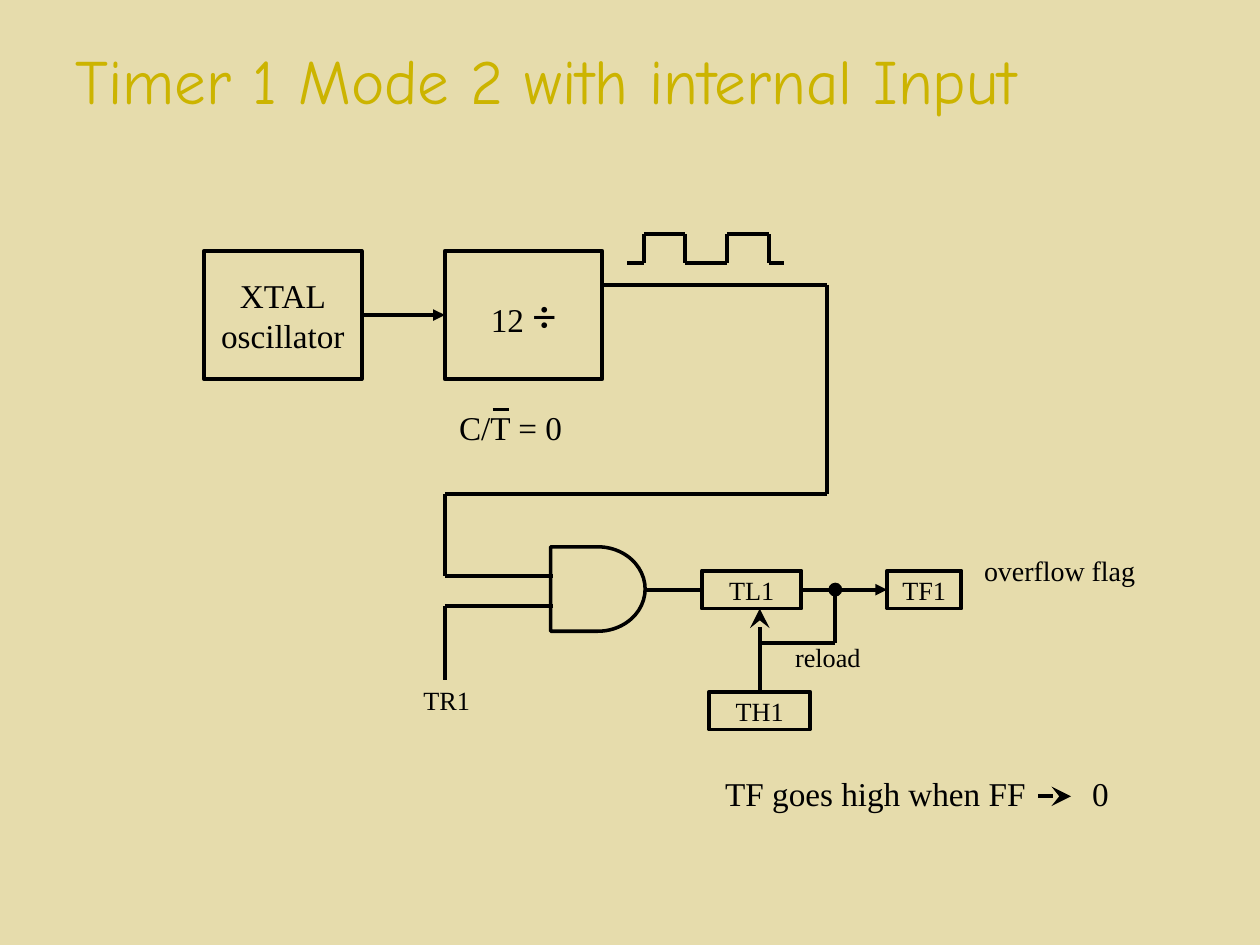
from dataclasses import dataclass
from itertools import pairwise
from typing import Optional

from lxml.etree import SubElement
from pptx import Presentation
from pptx.dml.color import RGBColor
from pptx.enum.shapes import MSO_CONNECTOR, MSO_SHAPE
from pptx.enum.text import MSO_ANCHOR, PP_ALIGN
from pptx.oxml.ns import qn
from pptx.util import Inches, Pt

COLORS = {"background": "E6DCAC", "title": "CCB400", "ink": "000000"}
BODY_FONT = "Times New Roman"
TITLE_FONT = "Comic Neue"
LINE_WIDTH = 2.25
Point = tuple[float, float]


@dataclass
class Block:
    text: str
    left: float
    top: float
    width: float
    height: float
    size: float


@dataclass
class Label(Block):
    align: PP_ALIGN = PP_ALIGN.LEFT


@dataclass
class Wire:
    points: list[Point]
    head: Optional[str] = None


BLOCKS = {
    "oscillator": Block("XTAL\noscillator", 1.62, 1.99, 1.25, 1.02, 19),
    "divider": Block("12 ÷", 3.53, 1.99, 1.25, 1.02, 19),
    "TL1": Block("TL1", 5.57, 4.53, 0.79, 0.3, 15),
    "TH1": Block("TH1", 5.63, 5.49, 0.8, 0.3, 15),
    "TF1": Block("TF1", 7.04, 4.53, 0.59, 0.3, 15),
}
LABELS = [
    Label("TR1", 3.18, 5.4, 0.73, 0.42, 15, PP_ALIGN.CENTER),
    Label("overflow flag", 7.75, 4.36, 1.42, 0.62, 16),
    Label("reload", 6.08, 5.06, 0.81, 0.36, 15, PP_ALIGN.RIGHT),
    Label("C/T = 0", 3.5, 3.2, 1.02, 0.25, 19, PP_ALIGN.RIGHT),
    Label("TF goes high when FF", 5.16, 6.11, 3.04, 0.4, 19, PP_ALIGN.RIGHT),
    Label("0", 8.56, 6.11, 0.3, 0.4, 19, PP_ALIGN.RIGHT),
]
WIRES = [
    Wire([(4.78, 2.26), (6.56, 2.26), (6.56, 3.92), (3.53, 3.92),
          (3.53, 4.57), (4.39, 4.57)]),
    Wire([(4.39, 4.81), (3.53, 4.81), (3.53, 5.4)]),
    Wire([(4.98, 2.09), (5.11, 2.09), (5.11, 1.86), (5.44, 1.86), (5.44, 2.09),
          (5.77, 2.09), (5.77, 1.86), (6.1, 1.86), (6.1, 2.09), (6.22, 2.09)]),
    Wire([(6.03, 5.1), (6.63, 5.1), (6.63, 4.7)]),
    Wire([(6.03, 5.1), (6.03, 4.83)], "stealth"),
    Wire([(8.24, 6.32), (8.5, 6.32)], "stealth"),
    Wire([(3.91, 3.25), (4.04, 3.25)]),
]


def color(name: str) -> RGBColor:
    return RGBColor.from_string(COLORS[name])


def write(shape, block: Block, align: PP_ALIGN, anchor: MSO_ANCHOR) -> None:
    frame = shape.text_frame
    frame.word_wrap = True
    frame.vertical_anchor = anchor
    frame.margin_left = frame.margin_right = Inches(0.06)
    frame.margin_top = frame.margin_bottom = Inches(0.03)
    frame.text = block.text
    for para in frame.paragraphs:
        para.alignment = align
        for span in para.runs:
            span.font.name = BODY_FONT
            span.font.size = Pt(block.size)
            span.font.color.rgb = color("ink")


def add_outline(page, kind: MSO_SHAPE, left: float, top: float, width: float,
                height: float, weight: float = LINE_WIDTH):
    shape = page.shapes.add_shape(
        kind, Inches(left), Inches(top), Inches(width), Inches(height))
    shape.shadow.inherit = False
    shape.fill.background()
    shape.line.color.rgb = color("ink")
    shape.line.width = Pt(weight)
    return shape


def add_block(page, block: Block):
    shape = add_outline(page, MSO_SHAPE.RECTANGLE, block.left, block.top,
                        block.width, block.height)
    write(shape, block, PP_ALIGN.CENTER, MSO_ANCHOR.MIDDLE)
    return shape


def add_label(page, label: Label) -> None:
    box = page.shapes.add_textbox(Inches(label.left), Inches(label.top),
                                  Inches(label.width), Inches(label.height))
    write(box, label, label.align, MSO_ANCHOR.TOP)


def add_line(page, start: Point, end: Point, head: Optional[str] = None):
    line = page.shapes.add_connector(
        MSO_CONNECTOR.STRAIGHT, *(Inches(value) for value in start + end))
    line.line.color.rgb = color("ink")
    line.line.width = Pt(LINE_WIDTH)
    if head:
        size = "lg" if head == "stealth" else "med"
        SubElement(line.line._get_or_add_ln(), qn("a:tailEnd"),
                   type=head, w=size, len=size)
    SubElement(line._element.spPr, qn("a:effectLst"))
    return line


def add_wire(page, wire: Wire) -> None:
    """Draw the wire leg by leg, with any arrowhead on the last leg."""
    legs = list(pairwise(wire.points))
    for number, (start, end) in enumerate(legs, 1):
        add_line(page, start, end, wire.head if number == len(legs) else None)


def add_title(page, text: str) -> None:
    title = page.shapes.title
    title.left, title.top = Inches(0.5), Inches(0.28)
    title.width, title.height = Inches(8.99), Inches(1.18)
    frame = title.text_frame
    frame.text = text
    frame.vertical_anchor = MSO_ANCHOR.TOP
    para = frame.paragraphs[0]
    para.alignment = PP_ALIGN.LEFT
    font = para.runs[0].font
    font.name, font.size = TITLE_FONT, Pt(36)
    font.color.rgb = color("title")


def emphasize_division_sign(divider) -> None:
    para = divider.text_frame.paragraphs[0]
    number = para.runs[0]
    number.text = "12 "
    sign = para.add_run()
    sign.text = "÷"
    sign.font.name, sign.font.size, sign.font.bold = BODY_FONT, Pt(25), True
    sign.font.color.rgb = color("ink")


def main() -> None:
    deck = Presentation()
    deck.slide_width, deck.slide_height = Inches(10), Inches(7.5)
    page = deck.slides.add_slide(deck.slide_layouts[5])
    page.background.fill.solid()
    page.background.fill.fore_color.rgb = color("background")
    add_title(page, "Timer 1 Mode 2 with internal Input")

    blocks = {name: add_block(page, block) for name, block in BLOCKS.items()}
    emphasize_division_sign(blocks["divider"])
    for wire in WIRES:
        add_wire(page, wire)
    for source, target in (("oscillator", "divider"), ("TL1", "TF1")):
        arrow = add_line(page, (0, 0), (1, 0), "triangle")
        arrow.begin_connect(blocks[source], 3)
        arrow.end_connect(blocks[target], 1)
    add_line(page, (5.12, 4.68), (5.57, 4.68)).end_connect(blocks["TL1"], 1)
    add_line(page, (6.03, 5.49), (6.03, 5.1)).begin_connect(blocks["TH1"], 0)

    add_outline(page, MSO_SHAPE.FLOWCHART_DELAY, 4.37, 4.34, 0.75, 0.67, 2)
    junction = add_outline(page, MSO_SHAPE.OVAL, 6.58, 4.63, 0.1, 0.1, 0.75)
    junction.fill.solid()
    junction.fill.fore_color.rgb = color("ink")
    for label in LABELS:
        add_label(page, label)
    deck.save("out.pptx")


if __name__ == "__main__":
    main()
